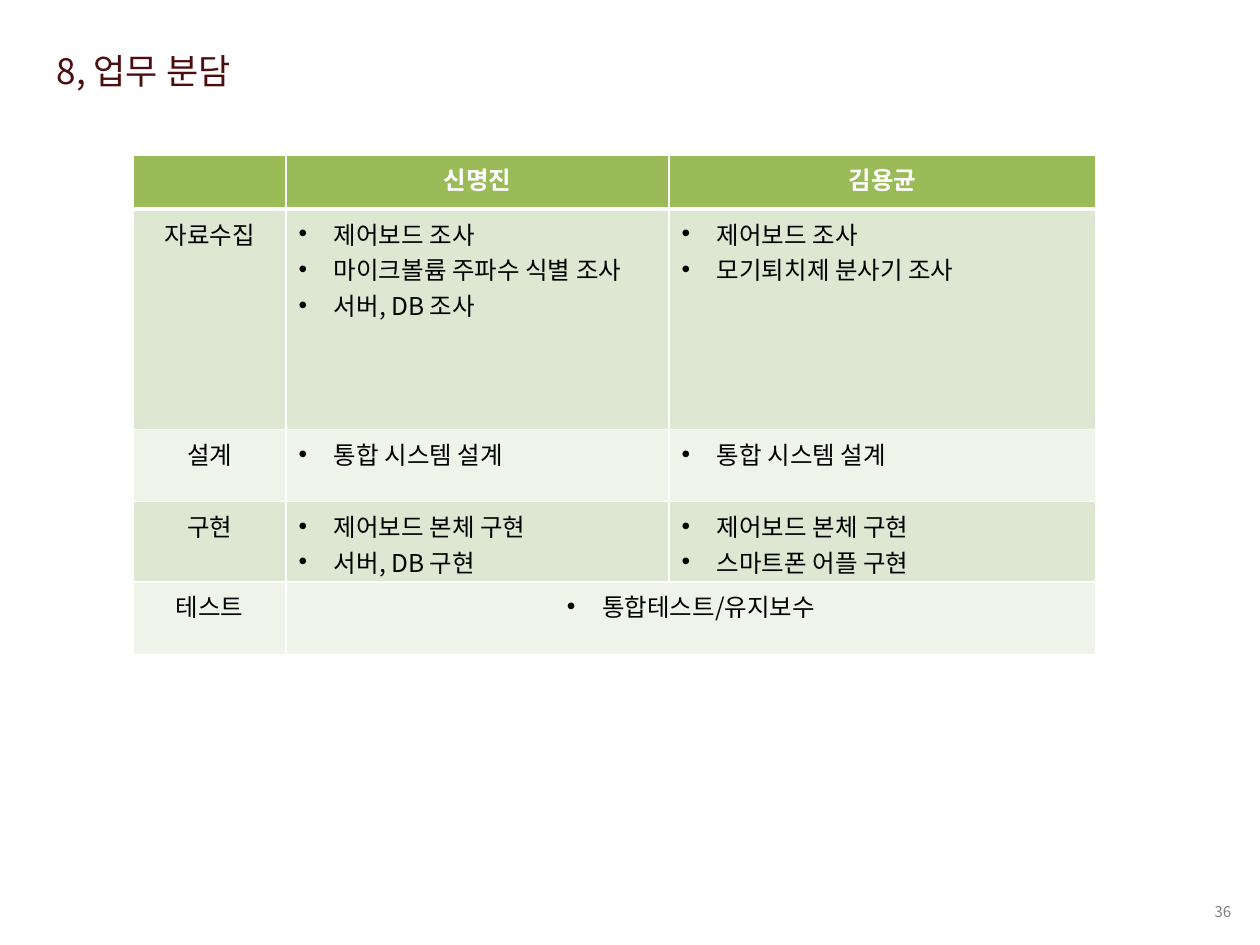
from lxml.etree import SubElement
from pptx import Presentation
from pptx.dml.color import RGBColor
from pptx.enum.text import MSO_ANCHOR, MSO_AUTO_SIZE, PP_ALIGN
from pptx.oxml.ns import qn
from pptx.util import Inches, Pt

COLORS = {
    "title": "4B0D0D",
    "number": "808080",
    "text": "000000",
    "white": "FFFFFF",
    "header": "9BBB59",
    "odd_row": "DEE7D1",
    "even_row": "EFF3EA",
}
HEADERS = ["", "신명진", "김용균"]
TASKS = [
    ("자료수집",
     ["제어보드 조사", "마이크볼륨 주파수 식별 조사", "서버, DB 조사"],
     ["제어보드 조사", "모기퇴치제 분사기 조사"]),
    ("설계", ["통합 시스템 설계"], ["통합 시스템 설계"]),
    ("구현",
     ["제어보드 본체 구현", "서버, DB 구현"],
     ["제어보드 본체 구현", "스마트폰 어플 구현"]),
    ("테스트", ["통합테스트/유지보수"]),
]
COLUMN_WIDTHS = [1.21, 3.04, 3.39]
ROW_HEIGHTS = [0.43, 1.75, 0.57, 0.64, 0.58]


class SlideBuilder:
    font_name = "Noto Sans CJK KR"
    body_size = 14
    bullet_indent = 0.28

    def __init__(self, presentation):
        self.slide = presentation.slides.add_slide(presentation.slide_layouts[5])

    def style(self, paragraph, size, color, align=PP_ALIGN.LEFT, bold=False):
        paragraph.alignment = align
        font = paragraph.font
        font.size = Pt(size)
        font.bold = bold
        font.color.rgb = RGBColor.from_string(COLORS[color])
        font.name = self.font_name
        SubElement(font._element, qn("a:ea"), typeface=self.font_name)

    def bullet(self, paragraph):
        properties = paragraph._p.get_or_add_pPr()
        indent = Inches(self.bullet_indent)
        properties.set("marL", str(indent))
        properties.set("indent", str(-indent))
        SubElement(properties, qn("a:buFont"), typeface="Arial")
        SubElement(properties, qn("a:buChar"), char="•")

    def title(self, text, left, top, width, height):
        title = self.slide.shapes.title
        title.left, title.top = Inches(left), Inches(top)
        title.width, title.height = Inches(width), Inches(height)
        frame = title.text_frame
        frame.text = text
        frame.word_wrap = True
        frame.vertical_anchor = MSO_ANCHOR.TOP
        frame.auto_size = MSO_AUTO_SIZE.SHAPE_TO_FIT_TEXT
        self.style(frame.paragraphs[0], 20, "title")

    def page_number(self, text, left, top, width, height):
        box = self.slide.shapes.add_textbox(
            Inches(left), Inches(top), Inches(width), Inches(height))
        frame = box.text_frame
        frame.text = text
        frame.word_wrap = True
        frame.vertical_anchor = MSO_ANCHOR.MIDDLE
        self.style(frame.paragraphs[0], 8.5, "number", PP_ALIGN.RIGHT)

    def table(self, left, top, widths, heights):
        frame = self.slide.shapes.add_table(
            len(heights), len(widths), Inches(left), Inches(top),
            Inches(sum(widths)), Inches(sum(heights)))
        table = frame.table
        for column, width in zip(table.columns, widths):
            column.width = Inches(width)
        for row, height in zip(table.rows, heights):
            row.height = Inches(height)
        return table

    def paint_cell(self, cell, fill, bottom_border=1):
        properties = cell._tc.get_or_add_tcPr()
        borders = {"lnL": 1, "lnR": 1, "lnT": 1, "lnB": bottom_border}
        for side, width in borders.items():
            line = SubElement(properties, qn(f"a:{side}"), w=str(Pt(width)))
            solid = SubElement(line, qn("a:solidFill"))
            SubElement(solid, qn("a:srgbClr"), val=COLORS["white"])
        cell.fill.solid()
        cell.fill.fore_color.rgb = RGBColor.from_string(COLORS[fill])

    def write_cell(self, cell, lines, color="text", align=PP_ALIGN.CENTER,
                   bold=False, bulleted=False):
        cell.text = "\n".join(lines)
        for paragraph in cell.text_frame.paragraphs:
            if bulleted:
                self.bullet(paragraph)
            self.style(paragraph, self.body_size, color, align, bold)

    def task_table(self, left, top):
        table = self.table(left, top, COLUMN_WIDTHS, ROW_HEIGHTS)
        for column, name in enumerate(HEADERS):
            cell = table.cell(0, column)
            self.paint_cell(cell, "header", bottom_border=3)
            self.write_cell(cell, [name], "white", bold=True)
        for row, (stage, *duties) in enumerate(TASKS, start=1):
            for column in range(len(HEADERS)):
                self.paint_cell(table.cell(row, column),
                                "odd_row" if row % 2 else "even_row")
            self.write_cell(table.cell(row, 0), [stage])
            shared = len(duties) == 1
            if shared:
                table.cell(row, 1).merge(table.cell(row, 2))
            align = PP_ALIGN.CENTER if shared else PP_ALIGN.LEFT
            for column, lines in enumerate(duties, start=1):
                self.write_cell(table.cell(row, column), lines,
                                align=align, bulleted=True)


def main():
    presentation = Presentation()
    presentation.slide_width = Inches(10)
    presentation.slide_height = Inches(7.5)
    builder = SlideBuilder(presentation)
    builder.title("8, 업무 분담", 0.35, 0.34, 7.64, 0.44)
    builder.task_table(1.06, 1.23)
    builder.page_number("36", 7.76, 7.1, 2.11, 0.27)
    presentation.save("out.pptx")


if __name__ == "__main__":
    main()
